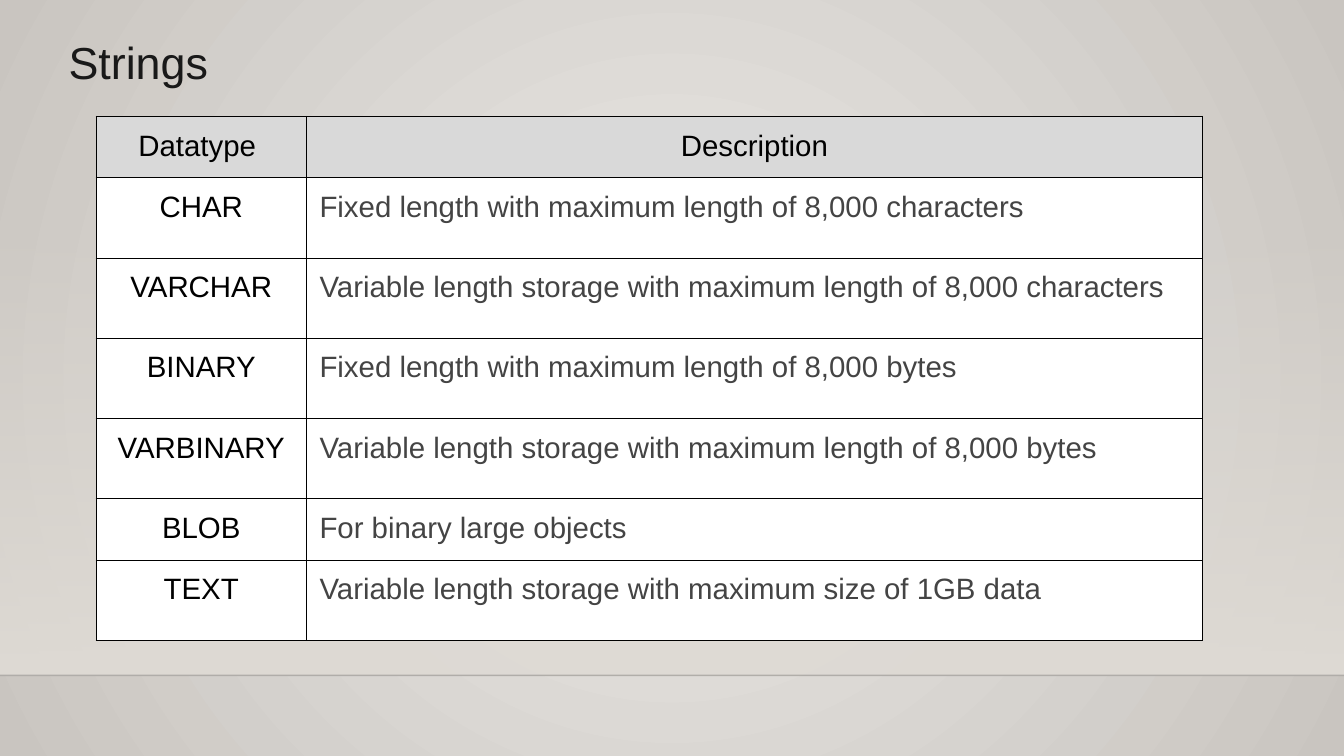
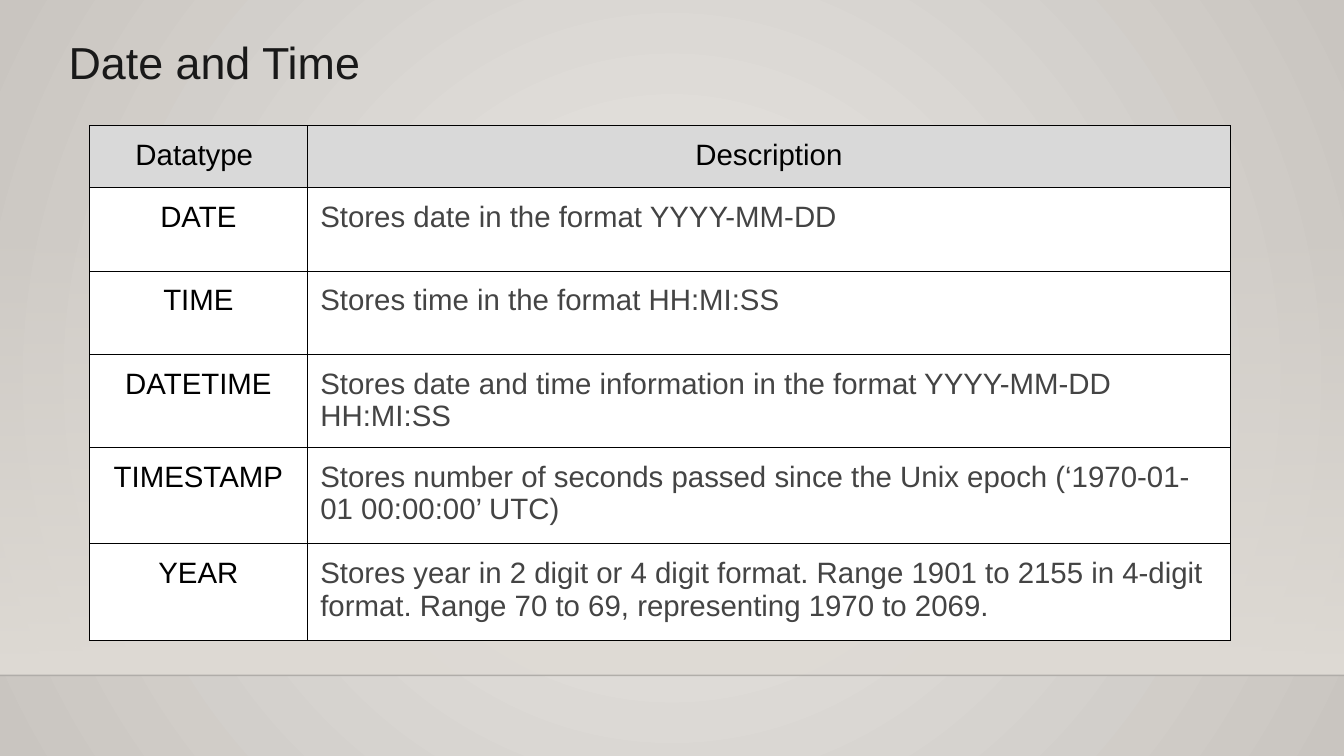
from dataclasses import dataclass

from lxml import etree
from pptx import Presentation
from pptx.dml.color import RGBColor
from pptx.enum.shapes import MSO_CONNECTOR, MSO_SHAPE
from pptx.enum.text import MSO_ANCHOR, MSO_AUTO_SIZE, PP_ALIGN
from pptx.oxml.ns import qn
from pptx.util import Inches, Pt

LEFT = PP_ALIGN.LEFT
CENTER = PP_ALIGN.CENTER
TOP = MSO_ANCHOR.TOP
FIXED_SIZE = MSO_AUTO_SIZE.NONE
RECTANGLE = MSO_SHAPE.RECTANGLE
STRAIGHT = MSO_CONNECTOR.STRAIGHT
TITLE_ONLY = 5
BORDER_SIDES = ("a:lnL", "a:lnR", "a:lnT", "a:lnB")


@dataclass(frozen=True)
class Theme:
    font: str = "Arial"
    title_size: float = 32
    table_size: float = 21
    inset: float = 0.13
    border_width: float = 0.75
    floor_width: float = 1
    floor_opacity: int = 20
    center: str = "EBE9E6"
    edge: str = "C9C5C0"
    wall: str = "DFDBD5"
    floor: str = "000001"
    title: str = "191919"
    border: str = "000000"
    header_fill: str = "D9D9D9"
    body_fill: str = "FFFFFF"
    label: str = "000000"
    description: str = "444444"


def set_opacity(color_parent, percent):
    color = color_parent.find(".//" + qn("a:srgbClr"))
    etree.SubElement(color, qn("a:alpha"), val=str(percent * 1000))


class Deck:
    def __init__(self, theme):
        self.theme = theme
        self.presentation = Presentation()
        self.presentation.slide_width = Inches(13.33)
        self.presentation.slide_height = Inches(7.5)
        self.slide = None
        self.set_background()

    def across(self, percent):
        return round(self.presentation.slide_width * percent / 100)

    def down(self, percent):
        return round(self.presentation.slide_height * percent / 100)

    def fill_gradient(self, fill, colors):
        fill.gradient()
        for stop, color in zip(fill.gradient_stops, colors):
            stop.color.rgb = RGBColor.from_string(color)

    def set_background(self):
        master = self.presentation.slide_master
        self.fill_gradient(master.background.fill, (self.theme.center, self.theme.edge))
        gradient = master.element.find(".//" + qn("a:gradFill"))
        gradient.remove(gradient.find(qn("a:lin")))
        circle = etree.SubElement(gradient, qn("a:path"), {"path": "circle"})
        sides = dict.fromkeys("ltrb", "50000")
        etree.SubElement(circle, qn("a:fillToRect"), sides)

    def add_slide(self, title):
        layout = self.presentation.slide_layouts[TITLE_ONLY]
        self.slide = self.presentation.slides.add_slide(layout)
        self.add_wall(29.47, 89.33)
        self.add_floor_line(89.33)
        self.add_title(title)

    def add_wall(self, top, bottom):
        wall = self.slide.shapes.add_shape(
            RECTANGLE, 0, self.down(top), self.across(100), self.down(bottom - top)
        )
        wall.shadow.inherit = False
        wall.line.fill.background()
        self.fill_gradient(wall.fill, (self.theme.wall, self.theme.wall))
        wall.fill.gradient_angle = 270
        set_opacity(wall.element.find(".//" + qn("a:gs")), 0)

    def add_floor_line(self, top):
        height = self.down(top)
        connector = self.slide.shapes.add_connector(
            STRAIGHT, 0, height, self.across(100), height
        )
        connector.line.width = Pt(self.theme.floor_width)
        connector.line.color.rgb = RGBColor.from_string(self.theme.floor)
        properties = connector.element.spPr
        set_opacity(properties, self.theme.floor_opacity)
        etree.SubElement(properties, qn("a:effectLst"))

    def set_insets(self, holder):
        inset = Inches(self.theme.inset)
        holder.margin_left = holder.margin_right = inset
        holder.margin_top = holder.margin_bottom = inset

    def format_paragraph(self, paragraph, size, color, alignment):
        paragraph.alignment = alignment
        paragraph.font.name = self.theme.font
        paragraph.font.size = Pt(size)
        paragraph.font.bold = False
        paragraph.font.color.rgb = RGBColor.from_string(color)

    def add_title(self, text):
        title = self.slide.shapes.title
        title.left, title.top = self.across(4.13), self.down(2.8)
        title.width, title.height = self.across(81.47), self.down(10.27)
        frame = title.text_frame
        frame.text = text
        frame.word_wrap = True
        frame.auto_size = FIXED_SIZE
        frame.vertical_anchor = TOP
        self.set_insets(frame)
        self.format_paragraph(
            frame.paragraphs[0], self.theme.title_size, self.theme.title, LEFT
        )

    def add_borders(self, cell):
        properties = cell._tc.get_or_add_tcPr()
        for index, side in enumerate(BORDER_SIDES):
            width = str(Pt(self.theme.border_width))
            border = etree.Element(qn(side), w=width)
            fill = etree.SubElement(border, qn("a:solidFill"))
            etree.SubElement(fill, qn("a:srgbClr"), val=self.theme.border)
            properties.insert(index, border)

    def fill_cell(self, cell, text, background, color, alignment):
        cell.text = text
        cell.vertical_anchor = TOP
        self.set_insets(cell)
        cell.fill.solid()
        cell.fill.fore_color.rgb = RGBColor.from_string(background)
        self.add_borders(cell)
        self.format_paragraph(
            cell.text_frame.paragraphs[0], self.theme.table_size, color, alignment
        )

    def add_datatypes(self, left, top, columns, rows, datatypes):
        theme = self.theme
        table = self.slide.shapes.add_table(
            len(rows), len(columns), self.across(left), self.down(top),
            self.across(sum(columns)), self.down(sum(rows)),
        ).table
        table.horz_banding = False
        for column, width in zip(table.columns, columns):
            column.width = self.across(width)
        for row, height in zip(table.rows, rows):
            row.height = self.down(height)
        for index, text in enumerate(("Datatype ", "Description")):
            self.fill_cell(
                table.cell(0, index), text, theme.header_fill, theme.label, CENTER
            )
        for index, (name, description) in enumerate(datatypes, 1):
            self.fill_cell(
                table.cell(index, 0), name, theme.body_fill, theme.label, CENTER
            )
            self.fill_cell(
                table.cell(index, 1), description,
                theme.body_fill, theme.description, LEFT,
            )


STRING_TYPES = (
    ("CHAR", "Fixed length with maximum length of 8,000 characters"),
    ("VARCHAR", "Variable length storage with maximum length of 8,000 characters"),
    ("BINARY", "Fixed length with maximum length of 8,000 bytes"),
    ("VARBINARY", "Variable length storage with maximum length of 8,000 bytes"),
    ("BLOB", "For binary large objects"),
    ("TEXT", "Variable length storage with maximum size of 1GB data"),
)
DATE_TYPES = (
    ("DATE", "Stores date in the format YYYY-MM-DD"),
    ("TIME", "Stores time in the format HH:MI:SS"),
    (
        "DATETIME",
        "Stores date and time information in the format YYYY-MM-DD HH:MI:SS",
    ),
    (
        "TIMESTAMP",
        "Stores number of seconds passed since the Unix epoch "
        "(‘1970-01-01 00:00:00’ UTC)",
    ),
    (
        "YEAR",
        "Stores year in 2 digit or 4 digit format. Range 1901 to 2155 in "
        "4-digit format. Range 70 to 69, representing 1970 to 2069.",
    ),
)


def main():
    deck = Deck(Theme())
    deck.add_slide("Strings")
    string_rows = (8.13, *[10.61] * 4, 8.13, 10.61)
    deck.add_datatypes(7.15, 15.4, (15.65, 66.67), string_rows, STRING_TYPES)
    deck.add_slide("Date and Time")
    date_rows = (8.2, 11.05, 11.05, 12.3, 12.75, 12.75)
    deck.add_datatypes(6.66, 16.6, (16.2, 68.7), date_rows, DATE_TYPES)
    deck.presentation.save("out.pptx")


if __name__ == "__main__":
    main()
